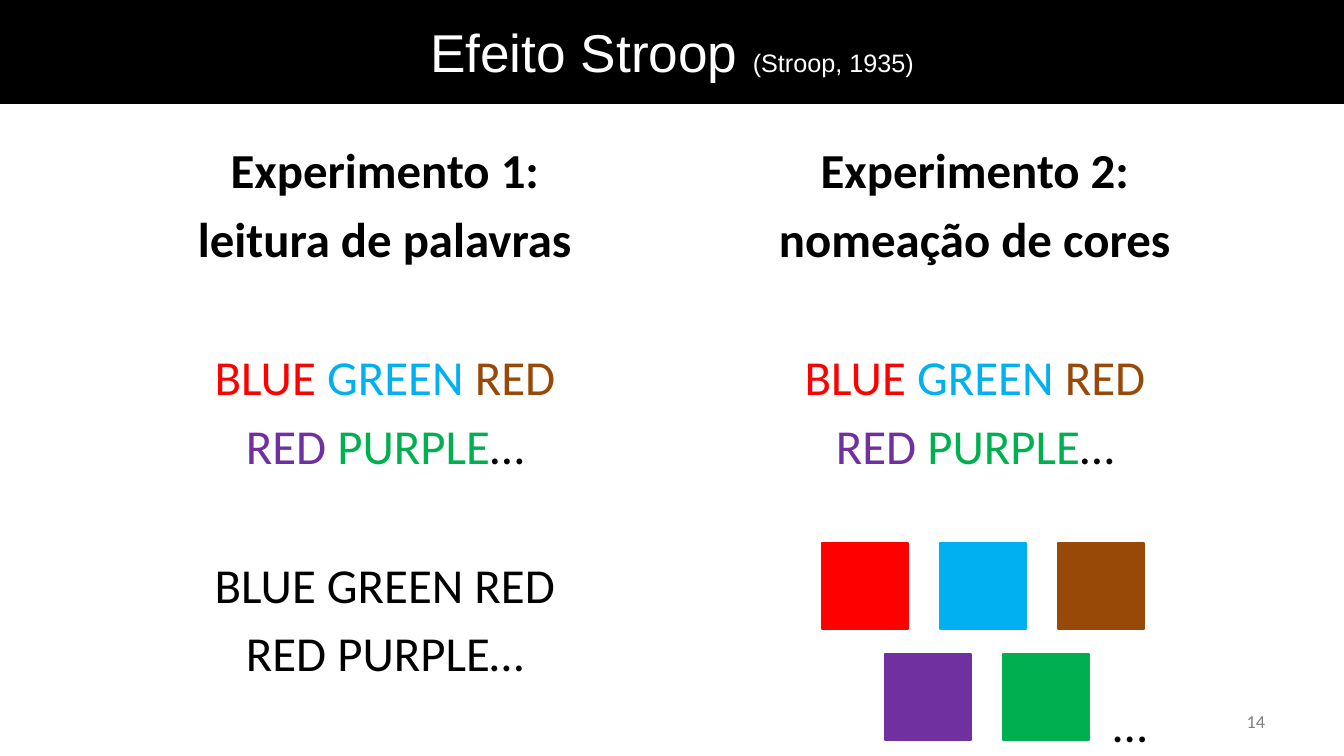
from lxml import etree
from pptx import Presentation
from pptx.dml.color import RGBColor
from pptx.enum.shapes import MSO_SHAPE
from pptx.enum.text import MSO_ANCHOR, MSO_AUTO_SIZE, PP_ALIGN
from pptx.oxml.ns import qn
from pptx.util import Emu, Pt

COLORS = {
    "black": "000000", "white": "FFFFFF", "gray": "808080", "red": "FF0000",
    "blue": "00B0F0", "brown": "984807", "purple": "7030A0", "green": "00B050",
}
TITLE = [("Efeito Stroop ", 38), ("(Stroop, 1935)", 18)]
PAGE = "14"
STROOP_WORDS = [
    {"runs": [("BLUE ", "red"), ("GREEN ", "blue"), ("RED", "brown")], "skip": 1},
    {"runs": [("RED", "purple"), (" PURPLE", "green"), ("…", "black")]},
]
READING = [
    {"runs": [("Experimento 1:", "black")], "bold": True},
    {"runs": [("leitura de palavras", "black")], "bold": True},
    *STROOP_WORDS,
    {"runs": [("BLUE GREEN RED", "black")], "skip": 1},
    {"runs": [("RED PURPLE…", "black")]},
]
NAMING = [
    {"runs": [("Experimento 2:", "black")], "bold": True},
    {"runs": [("nomeação de cores", "black")], "bold": True},
    *STROOP_WORDS,
    {"runs": [("…", "black")], "skip": 3, "indent": 310},
]
COLUMNS = [((74, 134, 622, 575), READING), ((664, 134, 622, 622), NAMING)]
SWATCH_ROWS = [(822, 543, ["red", "blue", "brown"]), (885, 654, ["purple", "green"])]
SWATCH_SIZE, SWATCH_PITCH = 86, 118
BODY_SIZE, BODY_GAP, LINE_PITCH = 34.9, 7.2, 49.8
INSET_X, INSET_Y = 11, 6


def px(length):
    return Emu(round(length * 12192000 / 1344))


def rgb(name):
    return RGBColor.from_string(COLORS[name])


def place(part, left, top, width, height):
    part.left, part.top, part.width, part.height = map(px, (left, top, width, height))


def paint(part, color):
    part.fill.solid()
    part.fill.fore_color.rgb = rgb(color)
    part.line.color.rgb = rgb(color)
    part.line.width = Pt(2)


def set_frame(frame, anchor):
    frame.word_wrap = True
    frame.auto_size = MSO_AUTO_SIZE.NONE
    frame.vertical_anchor = anchor
    frame.margin_left = frame.margin_right = px(INSET_X)
    frame.margin_top = frame.margin_bottom = px(INSET_Y)


def write_column(column, lines):
    set_frame(column.text_frame, MSO_ANCHOR.TOP)
    for number, line in enumerate(lines):
        paragraph = column.text_frame.paragraphs[0] if number == 0 else column.text_frame.add_paragraph()
        paragraph.alignment = PP_ALIGN.CENTER
        paragraph.line_spacing = 1.0
        paragraph.space_before = Pt(BODY_GAP + LINE_PITCH * line.get("skip", 0))
        paragraph.font.name = "Calibri"
        paragraph.font.size = Pt(BODY_SIZE)
        paragraph.font.bold = line.get("bold", False)
        properties = paragraph._p.get_or_add_pPr()
        properties.set("marL", str(px(line.get("indent", 0))))
        properties.set("indent", "0")
        bullet = etree.Element(qn("a:buNone"))
        properties.find(qn("a:defRPr")).addprevious(bullet)
        for words, color in line["runs"]:
            run = paragraph.add_run()
            run.text = words
            run.font.color.rgb = rgb(color)


def main():
    presentation = Presentation()
    presentation.slide_width, presentation.slide_height = px(1344), px(756)
    slide = presentation.slides.add_slide(presentation.slide_layouts[3])

    title = slide.shapes.title
    place(title, 0, 0, 1344, 103)
    paint(title, "black")
    set_frame(title.text_frame, MSO_ANCHOR.MIDDLE)
    heading = title.text_frame.paragraphs[0]
    heading.alignment = PP_ALIGN.CENTER
    heading.font.name = "Arial"
    heading.font.color.rgb = rgb("white")
    for words, size in TITLE:
        run = heading.add_run()
        run.text = words
        run.font.size = Pt(size)

    for index, (box, lines) in enumerate(COLUMNS, start=1):
        column = slide.placeholders[index]
        place(column, *box)
        write_column(column, lines)

    for left, top, row in SWATCH_ROWS:
        for position, color in enumerate(row):
            swatch = slide.shapes.add_shape(
                MSO_SHAPE.RECTANGLE, px(left + position * SWATCH_PITCH), px(top),
                px(SWATCH_SIZE), px(SWATCH_SIZE))
            swatch.shadow.inherit = False
            paint(swatch, color)

    page_number = slide.shapes.add_textbox(px(963), px(701), px(313), px(40))
    set_frame(page_number.text_frame, MSO_ANCHOR.MIDDLE)
    page = page_number.text_frame.paragraphs[0]
    page.text = PAGE
    page.alignment = PP_ALIGN.RIGHT
    page.font.name = "Calibri"
    page.font.size = Pt(13)
    page.font.color.rgb = rgb("gray")

    presentation.save("out.pptx")


if __name__ == "__main__":
    main()
